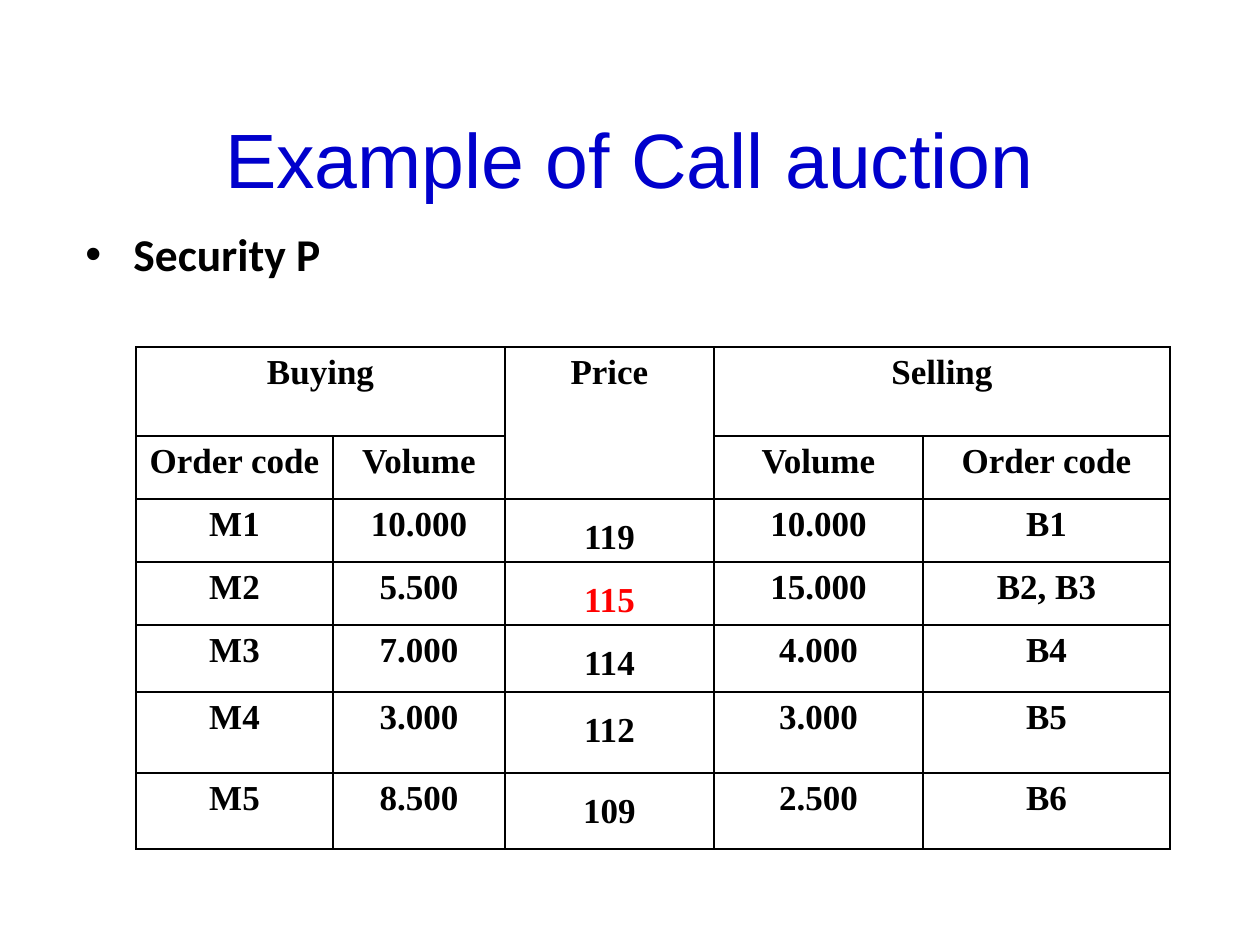
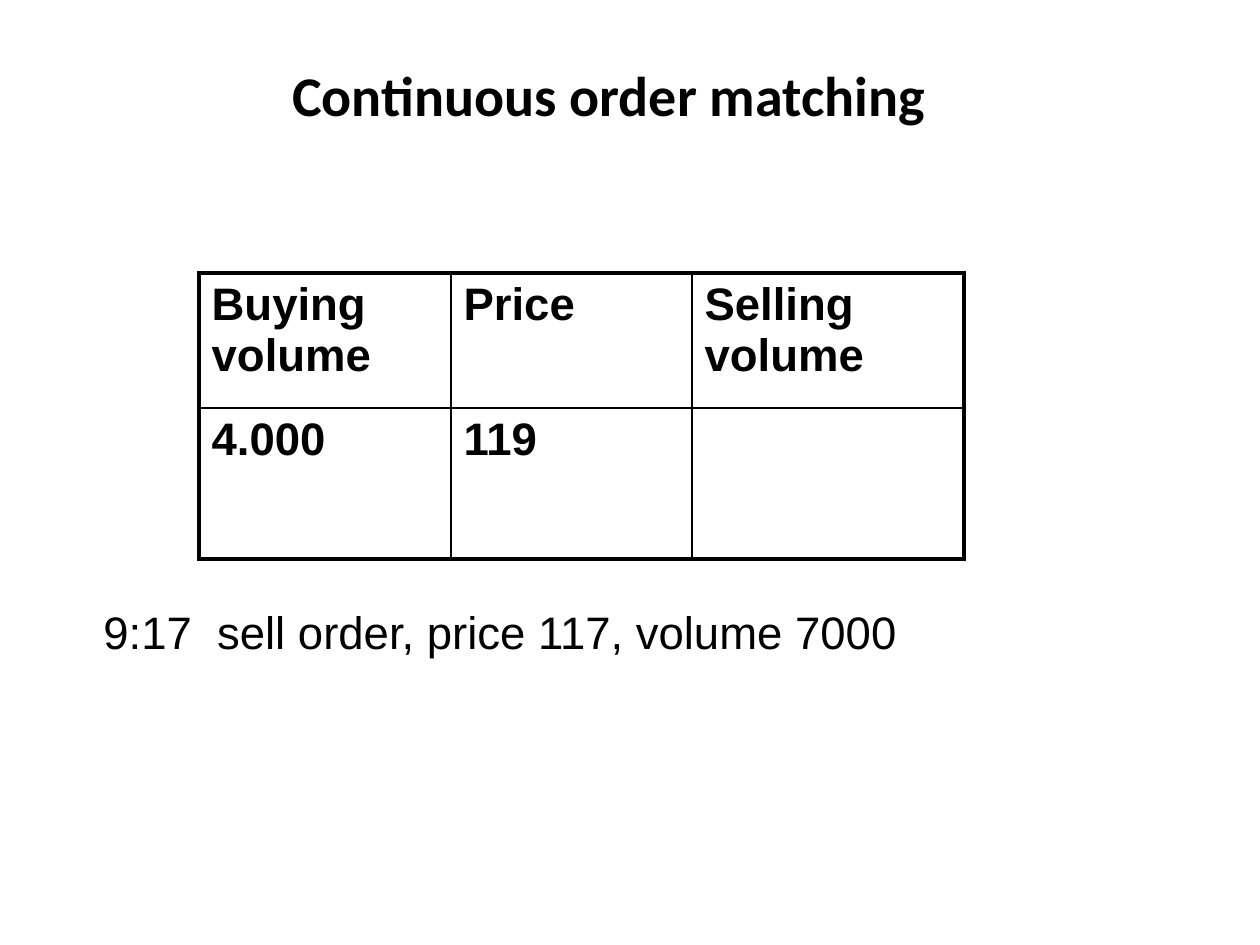
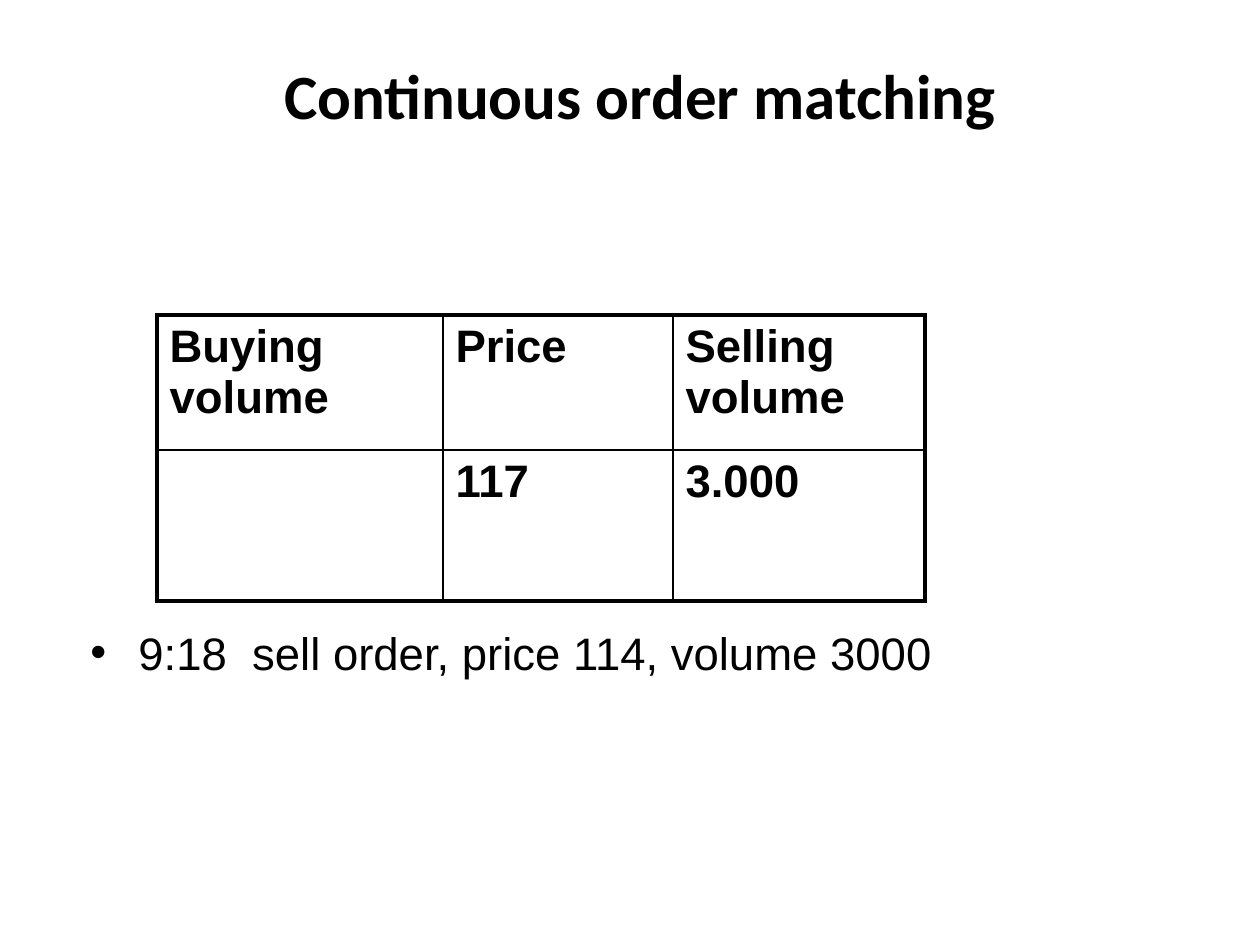
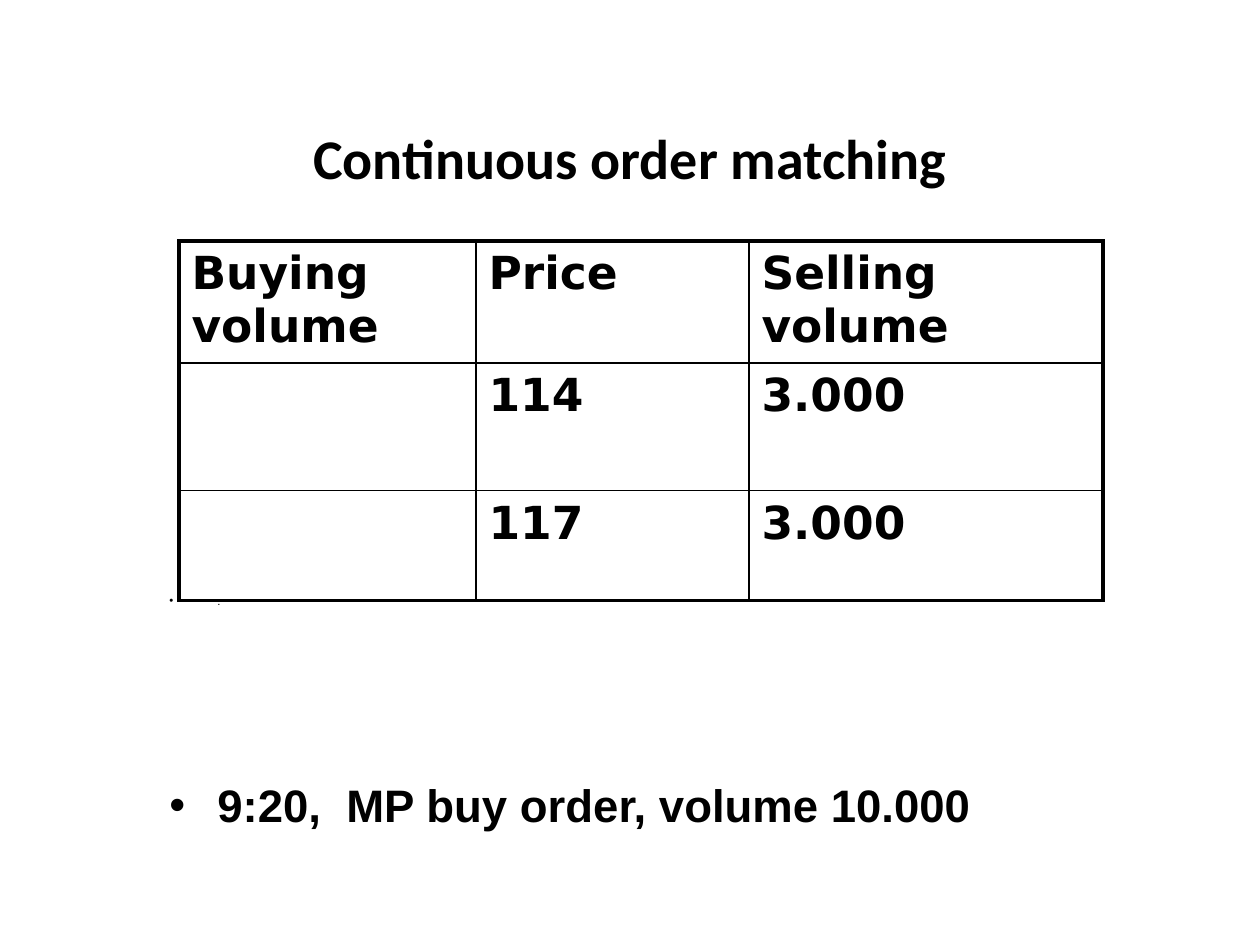
from lxml.etree import SubElement
from pptx import Presentation
from pptx.dml.color import RGBColor
from pptx.enum.text import MSO_ANCHOR, MSO_AUTO_SIZE, PP_ALIGN
from pptx.oxml.ns import qn
from pptx.util import Emu, Pt

PX_PER_INCH = 126
BLACK = RGBColor(0x00, 0x00, 0x00)
BLUE = RGBColor(0x00, 0x00, 0xCC)
RED = RGBColor(0xFF, 0x00, 0x00)

THIN, THICK = 1, 2.25
BULLET_INDENT = 48
ORDER_TOP = 457  # distance from the body's top to its order line

TITLE = {"name": "Calibri", "size": Pt(32), "bold": True}
BODY = {"name": "Arial", "size": Pt(26), "bold": False}
BOOK_CELL = {"name": "Times New Roman", "size": Pt(20), "bold": True}
ORDER_CELL = {**BODY, "bold": True}
PRICE_SPACING = {"line_spacing": 1.5, "space_before": Pt(6), "space_after": Pt(6)}

BOOK_ROWS = [
    ["Buying", "", "Price", "Selling", ""],
    ["Order code", "Volume", "", "Volume", "Order code"],
    ["M1", "10.000", "119", "10.000", "B1"],
    ["M2", "5.500", "115", "15.000", "B2, B3"],
    ["M3", "7.000", "114", "4.000", "B4"],
    ["M4", "3.000", "112", "3.000", "B5"],
    ["M5", "8.500", "109", "2.500", "B6"],
]
BOOK_MERGES = [((0, 0), (0, 1)), ((0, 2), (1, 2)), ((0, 3), (0, 4))]
MATCH_HEADER = ["Buying volume", "Price", "Selling volume"]


def px(length):
    return Emu(round(length * 914400 / PX_PER_INCH))


def apply(target, values):
    for name, value in values.items():
        setattr(target, name, value)


def write(paragraph, text, font, color=BLACK):
    run = paragraph.add_run()
    run.text = text
    apply(run.font, font)
    run.font.color.rgb = color


def add_titled_slide(presentation, text, left, top, font=TITLE, color=BLACK):
    slide = presentation.slides.add_slide(presentation.slide_layouts[5])
    title = slide.shapes.title
    apply(title, {"left": px(left), "top": px(top),
                  "width": px(1134), "height": px(189)})
    apply(title.text_frame, {"auto_size": MSO_AUTO_SIZE.NONE, "word_wrap": True,
                             "vertical_anchor": MSO_ANCHOR.MIDDLE})
    paragraph = title.text_frame.paragraphs[0]
    paragraph.alignment = PP_ALIGN.CENTER
    write(paragraph, text, font, color)
    return slide


def add_bullet(paragraph):
    properties = paragraph._p.get_or_add_pPr()
    properties.set("marL", str(px(BULLET_INDENT)))
    properties.set("indent", str(-px(BULLET_INDENT)))
    SubElement(properties, qn("a:buFont"), typeface="Arial")
    SubElement(properties, qn("a:buChar"), char="•")


def add_body(slide, box, lines, inset_top=6, bulleted=True, gap=0):
    """Add body lines given as (text, font), with gap points between them."""
    frame = slide.shapes.add_textbox(*map(px, box)).text_frame
    apply(frame, {"word_wrap": True, "margin_top": px(inset_top)})
    for index, (text, font) in enumerate(lines):
        paragraph = frame.add_paragraph() if index else frame.paragraphs[0]
        if index:
            paragraph.space_before = Pt(gap)
        if bulleted:
            add_bullet(paragraph)
        write(paragraph, text, font)


def set_borders(cell, widths):
    """Draw the cell's borders; widths in points are left, right, top, bottom."""
    properties = cell._tc.get_or_add_tcPr()
    for side, width in zip("LRTB", widths):
        line = SubElement(properties, qn(f"a:ln{side}"), w=str(Pt(width)))
        fill = SubElement(line, qn("a:solidFill"))
        SubElement(fill, qn("a:srgbClr"), val=str(BLACK))


def add_table(slide, left, top, widths, heights, rows, font, outer=THICK):
    """Add a plain grid with thin inner lines and an outer frame."""
    box = map(px, (left, top, sum(widths), sum(heights)))
    table = slide.shapes.add_table(len(rows), len(widths), *box).table
    apply(table, {"first_row": False, "horz_banding": False})
    for column, width in zip(table.columns, widths):
        column.width = px(width)
    for row, height in zip(table.rows, heights):
        row.height = px(height)
    for r, texts in enumerate(rows):
        for c, text in enumerate(texts):
            cell = table.cell(r, c)
            on_edge = (c == 0, c == len(widths) - 1, r == 0, r == len(rows) - 1)
            set_borders(cell, [outer if edge else THIN for edge in on_edge])
            cell.fill.background()
            if text:
                write(cell.text_frame.paragraphs[0], text, font)
    return table


def add_order_book(slide):
    table = add_table(slide, 136, 347, [197, 172, 209, 209, 247],
                      [89, 63, 63, 62, 67, 81, 76], BOOK_ROWS, BOOK_CELL, THIN)
    for first, last in BOOK_MERGES:
        table.cell(*first).merge(table.cell(*last))
    for cell in table.iter_cells():
        cell.text_frame.paragraphs[0].alignment = PP_ALIGN.CENTER
    for r in range(2, len(BOOK_ROWS)):
        price = table.cell(r, 2)
        apply(price, {"margin_left": px(9), "margin_right": px(9),
                      "margin_top": 0, "margin_bottom": 0})
        apply(price.text_frame.paragraphs[0], PRICE_SPACING)
    matched_price = table.cell(3, 2).text_frame.paragraphs[0].runs[0]
    matched_price.font.color.rgb = RED


def main():
    presentation = Presentation()
    presentation.slide_width = px(1260)
    presentation.slide_height = px(945)
    matching = "Continuous order matching"

    slide = add_titled_slide(presentation, "Example of Call auction", 63, 63,
                             {"name": "Arial", "size": Pt(44)}, BLUE)
    add_body(slide, (73, 220, 1103, 588),
             [("Security P", {**TITLE, "size": Pt(26)})])
    add_order_book(slide)

    slide = add_titled_slide(presentation, matching, 42, 0)
    add_body(slide, (91, 147, 1033, 683),
             [("9:17  sell order, price 117, volume 7000", BODY)],
             ORDER_TOP, bulleted=False)
    add_table(slide, 199, 273, [252, 241, 272], [135, 151],
              [MATCH_HEADER, ["4.000", "119", ""]], ORDER_CELL)

    slide = add_titled_slide(presentation, matching, 73, 0,
                             {**TITLE, "size": Pt(36)})
    add_body(slide, (78, 168, 1097, 693),
             [("9:18  sell order, price 114, volume 3000", BODY)], ORDER_TOP)
    add_table(slide, 157, 315, [286, 230, 252], [135, 151],
              [MATCH_HEADER, ["", "117", "3.000"]], ORDER_CELL)

    slide = add_titled_slide(presentation, matching, 63, 63)
    add_body(slide, (157, 588, 1103, 209),
             [(":", {**BODY, "size": Pt(6.5)}),
              ("9:20,  MP buy order, volume 10.000", ORDER_CELL)], gap=97)
    add_table(slide, 179, 241, [297, 273, 354], [119, 128, 110],
              [MATCH_HEADER, ["", "114", "3.000"], ["", "117", "3.000"]],
              {**ORDER_CELL, "name": "DejaVu Sans"})

    presentation.save("out.pptx")


if __name__ == "__main__":
    main()
